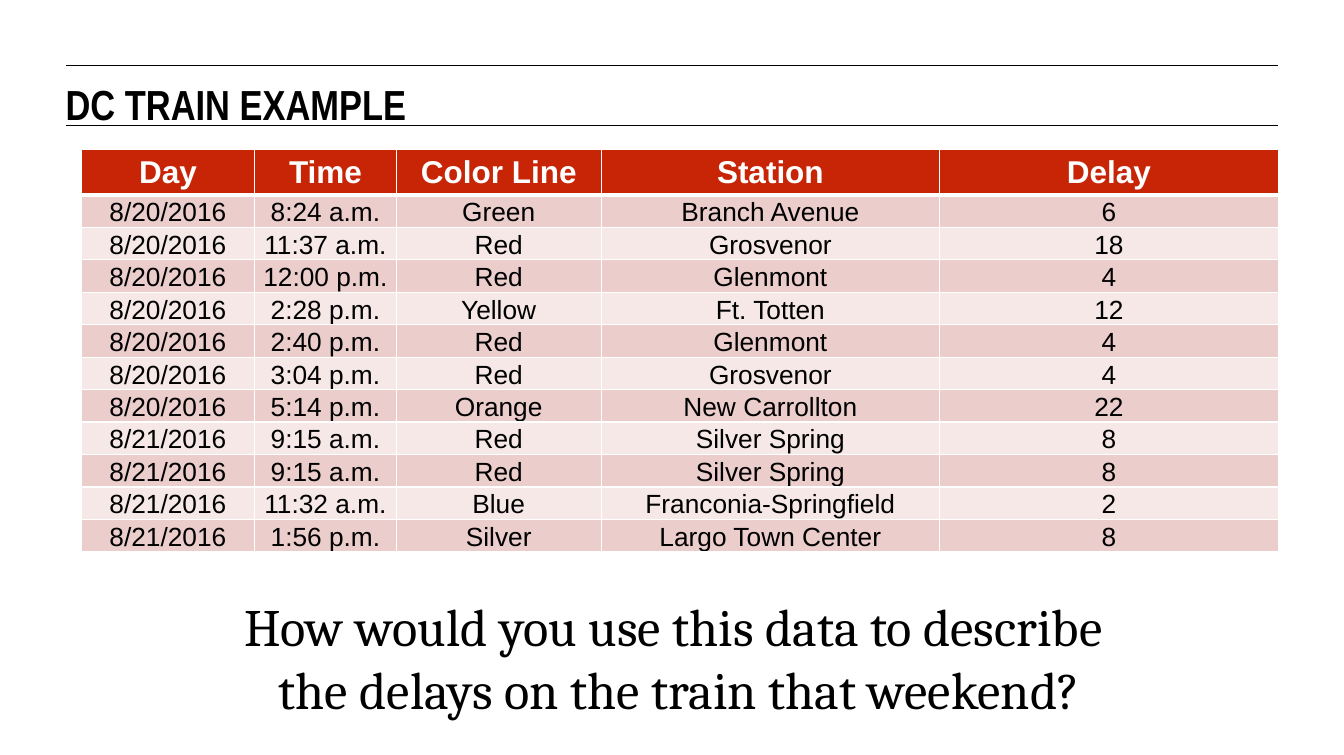
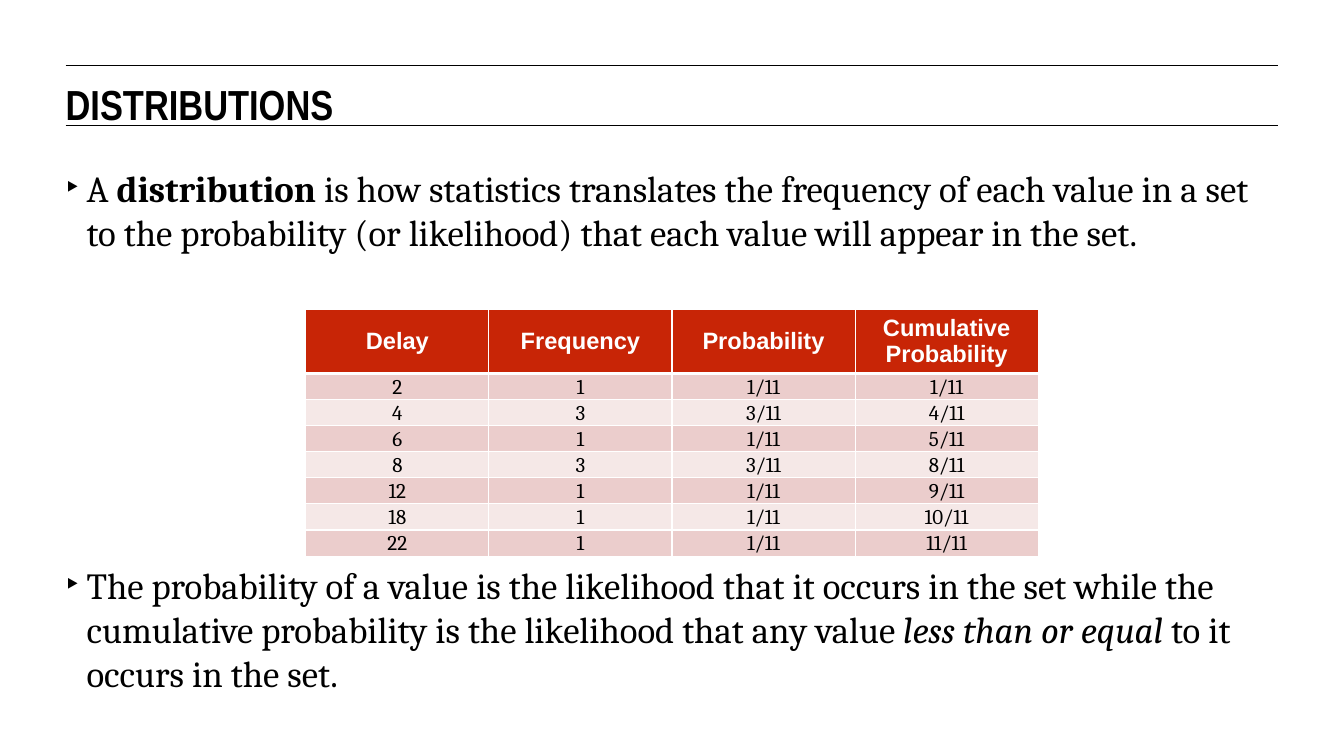
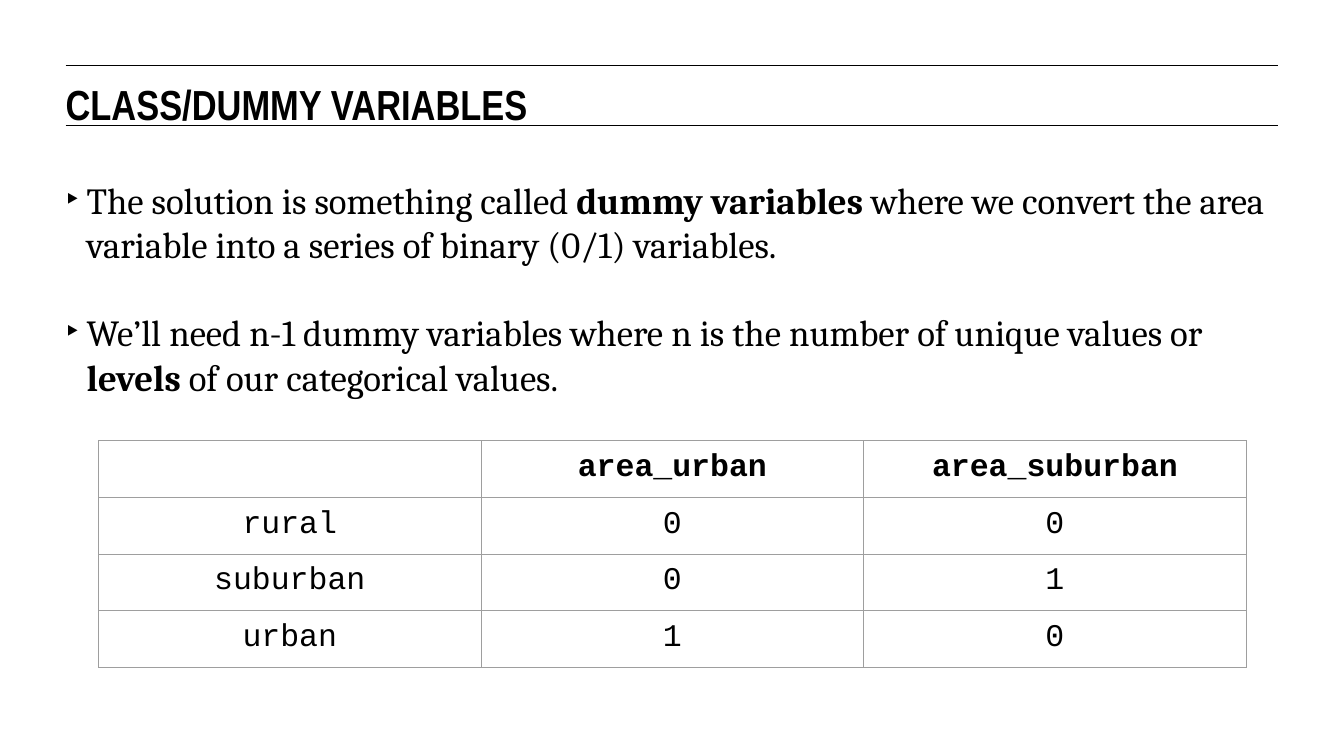
from dataclasses import dataclass

from pptx import Presentation
from pptx.dml.color import RGBColor
from pptx.enum import shapes, text
from pptx.oxml import xmlchemy
from pptx.util import Pt


@dataclass(frozen=True)
class Theme:
    # Colours
    ink: str = "000000"
    white: str = "FFFFFF"
    header: str = "C82506"
    bands: tuple = ("EBCDCC", "F5E8E7")
    grid: str = "9E9E9E"
    # Fonts
    heading: str = "Arial Narrow"
    sans: str = "Arial"
    serif: str = "Cambria"
    mono: str = "Courier New"
    # Type sizes
    title: int = 32
    body: int = 28
    question: int = 40
    # Page frame
    left: int = 50
    width: int = 924


THEME = Theme()

TRAIN_DELAYS = [
    ("Day", "Time", "Color Line", "Station", "Delay"),
    ("8/20/2016", "8:24 a.m.", "Green", "Branch Avenue", "6"),
    ("8/20/2016", "11:37 a.m.", "Red", "Grosvenor", "18"),
    ("8/20/2016", "12:00 p.m.", "Red", "Glenmont", "4"),
    ("8/20/2016", "2:28 p.m.", "Yellow", "Ft. Totten", "12"),
    ("8/20/2016", "2:40 p.m.", "Red", "Glenmont", "4"),
    ("8/20/2016", "3:04 p.m.", "Red", "Grosvenor", "4"),
    ("8/20/2016", "5:14 p.m.", "Orange", "New Carrollton", "22"),
    ("8/21/2016", "9:15 a.m.", "Red", "Silver Spring", "8"),
    ("8/21/2016", "9:15 a.m.", "Red", "Silver Spring", "8"),
    ("8/21/2016", "11:32 a.m.", "Blue", "Franconia-Springfield", "2"),
    ("8/21/2016", "1:56 p.m.", "Silver", "Largo Town Center", "8"),
]

DISTRIBUTION = [
    ("Delay", "Frequency", "Probability", "Cumulative Probability"),
    ("2", "1", "1/11", "1/11"),
    ("4", "3", "3/11", "4/11"),
    ("6", "1", "1/11", "5/11"),
    ("8", "3", "3/11", "8/11"),
    ("12", "1", "1/11", "9/11"),
    ("18", "1", "1/11", "10/11"),
    ("22", "1", "1/11", "11/11"),
]

DUMMIES = [
    ("", "area_urban", "area_suburban"),
    ("rural", "0", "0"),
    ("suburban", "0", "1"),
    ("urban", "1", "0"),
]


def add_element(parent, tag, **attributes):
    element = xmlchemy.OxmlElement(tag)
    for name, value in attributes.items():
        element.set(name, str(value))
    parent.append(element)
    return element


def set_font(font, name, size, color=THEME.ink, bold=False):
    font.name, font.size, font.bold = name, Pt(size), bold
    font.color.rgb = RGBColor.from_string(color)


# Text
def add_text_box(page, left, top, width, height):
    frame = page.shapes.add_textbox(Pt(left), Pt(top), Pt(width), Pt(height)).text_frame
    frame.word_wrap = True
    frame.margin_left = frame.margin_right = frame.margin_top = frame.margin_bottom = 0
    return frame


def paragraphs(frame, count):
    return [frame.paragraphs[0]] + [frame.add_paragraph() for _ in range(count - 1)]


def add_bullets(page, top, height, gap, items):
    """Each item is a list of (text, style), style being None, "bold" or "italic"."""
    frame = add_text_box(page, THEME.left, top, THEME.width, height)
    for index, (para, spans) in enumerate(zip(paragraphs(frame, len(items)), items)):
        if index:
            para.space_before = Pt(gap)
        properties = para._p.get_or_add_pPr()
        properties.set("marL", str(Pt(16)))
        properties.set("indent", str(Pt(-20)))
        add_element(properties, "a:buFont", typeface=THEME.sans)
        add_element(properties, "a:buChar", char="‣")
        set_font(para.font, THEME.serif, THEME.body)
        for words, style in spans:
            span = para.add_run()
            span.text = words
            if style:
                setattr(span.font, style, True)


def add_question(page, lines):
    frame = add_text_box(page, 60.5, 452, 914, 57)
    for para, line in zip(paragraphs(frame, len(lines)), lines):
        para.text = line
        para.alignment = text.PP_ALIGN.CENTER
        set_font(para.font, THEME.serif, THEME.question)


# Page with two rules and a title between them
def add_page(deck, title):
    page = deck.slides.add_slide(deck.slide_layouts[6])
    for y in (49.7, 95.8):
        rule = page.shapes.add_connector(
            shapes.MSO_CONNECTOR.STRAIGHT,
            Pt(THEME.left), Pt(y), Pt(THEME.left + THEME.width), Pt(y))
        rule.line.color.rgb = RGBColor.from_string(THEME.ink)
        rule.line.width = Pt(0.75)
        add_element(rule._element.spPr, "a:effectLst")
    para = add_text_box(page, THEME.left, 60, THEME.width, 34).paragraphs[0]
    para.text = title
    set_font(para.font, THEME.heading, THEME.title, bold=True)
    return page


# Tables
def set_borders(cell, color, width, top=None, bottom=None):
    properties = cell._tc.get_or_add_tcPr()
    sides = {"L": width, "R": width, "T": top or width, "B": bottom or width}
    for side, weight in sides.items():
        line = add_element(properties, f"a:ln{side}", w=Pt(weight))
        add_element(add_element(line, "a:solidFill"), "a:srgbClr", val=color)


def set_margins(cell, side, top, bottom):
    cell.margin_left = cell.margin_right = Pt(side)
    cell.margin_top, cell.margin_bottom = Pt(top), Pt(bottom)


def set_cell_text(cell, words, *font, **options):
    if words:
        para = cell.text_frame.paragraphs[0]
        para.text = words
        para.alignment = text.PP_ALIGN.CENTER
        set_font(para.font, *font, **options)


def add_grid(page, left, top, columns, header_height, row_height, rows):
    height = header_height + row_height * (len(rows) - 1)
    table = page.shapes.add_table(
        len(rows), len(columns), Pt(left), Pt(top), Pt(sum(columns)), Pt(height)).table
    table.horz_banding = False
    for column, width in zip(table.columns, columns):
        column.width = Pt(width)
    for index, row in enumerate(table.rows):
        row.height = Pt(row_height if index else header_height)
    return table


def cells_of(table, rows):
    for row, values in enumerate(rows):
        for column, words in enumerate(values):
            yield row, table.cell(row, column), words


def add_banded_table(page, rows, header_size, body_font, body_size, **place):
    table = add_grid(page, rows=rows, **place)
    for row, cell, words in cells_of(table, rows):
        if row == 0:
            set_borders(cell, THEME.white, 1, bottom=3)
            set_margins(cell, 7.2, 2.8, 2.8)
            cell.vertical_anchor = text.MSO_ANCHOR.MIDDLE
            fill = THEME.header
            set_cell_text(cell, words, THEME.sans, header_size, THEME.white, bold=True)
        else:
            set_borders(cell, THEME.white, 1, top=3 if row == 1 else 1)
            set_margins(cell, 0.7, 0.7, 0)
            cell.vertical_anchor = text.MSO_ANCHOR.BOTTOM
            fill = THEME.bands[(row - 1) % 2]
            set_cell_text(cell, words, body_font, body_size)
        cell.fill.solid()
        cell.fill.fore_color.rgb = RGBColor.from_string(fill)


def add_plain_table(page, rows, **place):
    table = add_grid(page, rows=rows, **place)
    table.first_row = False
    for row, cell, words in cells_of(table, rows):
        set_borders(cell, THEME.grid, 0.75)
        set_margins(cell, 7.2, 7.2, 7.2)
        cell.fill.background()
        set_cell_text(cell, words, THEME.mono, 24, bold=row == 0)


def main():
    deck = Presentation()
    deck.slide_width, deck.slide_height = Pt(1024), Pt(575)

    # Train delays
    page = add_page(deck, "DC TRAIN EXAMPLE")
    add_banded_table(page, TRAIN_DELAYS, 24, THEME.sans, 20, left=62, top=114,
                     columns=[132, 108, 156, 258, 258],
                     header_height=33.4, row_height=23.05)
    add_question(page, ["How would you use this data to describe ",
                        "the delays on the train that weekend?"])

    # Distributions
    page = add_page(deck, "DISTRIBUTIONS")
    add_bullets(page, top=126, height=406, gap=235, items=[
        [("A ", None), ("distribution", "bold"),
         (" is how statistics translates the frequency of each value in a set to the "
          "probability (or likelihood) that each value will appear in the set.", None)],
        [("The probability of a value is the likelihood that it occurs in the set while "
          "the cumulative probability is the likelihood that any value ", None),
         ("less than or equal", "italic"), (" to it occurs in the set.", None)],
    ])
    add_banded_table(page, DISTRIBUTION, 18, THEME.serif, 16, left=233, top=235.5,
                     columns=[139.5] * 4, header_height=47, row_height=19.4)

    # Dummy variables
    page = add_page(deck, "CLASS/DUMMY VARIABLES")
    add_bullets(page, top=135.5, height=170, gap=33.5, items=[
        [("The solution is something called ", None), ("dummy variables", "bold"),
         (" where we convert the area variable into a series of binary (0/1) variables.",
          None)],
        [("We’ll need n-1 dummy variables where n is the number of unique values or ",
          None), ("levels", "bold"), (" of our categorical values.", None)],
    ])
    add_plain_table(page, DUMMIES, left=75, top=335.5, columns=[291.5] * 3,
                    header_height=41.8, row_height=41.8)

    deck.save("out.pptx")


if __name__ == "__main__":
    main()
